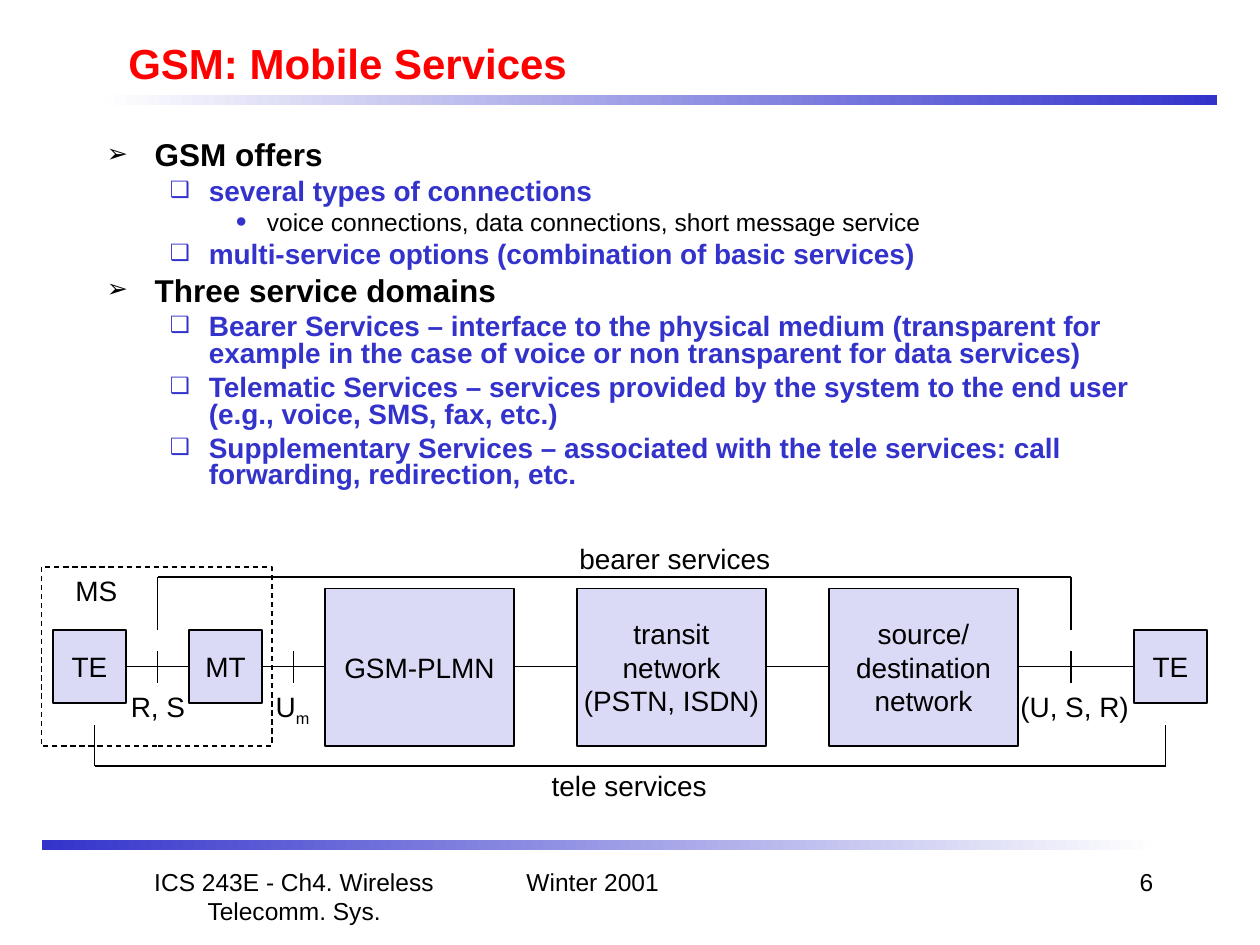
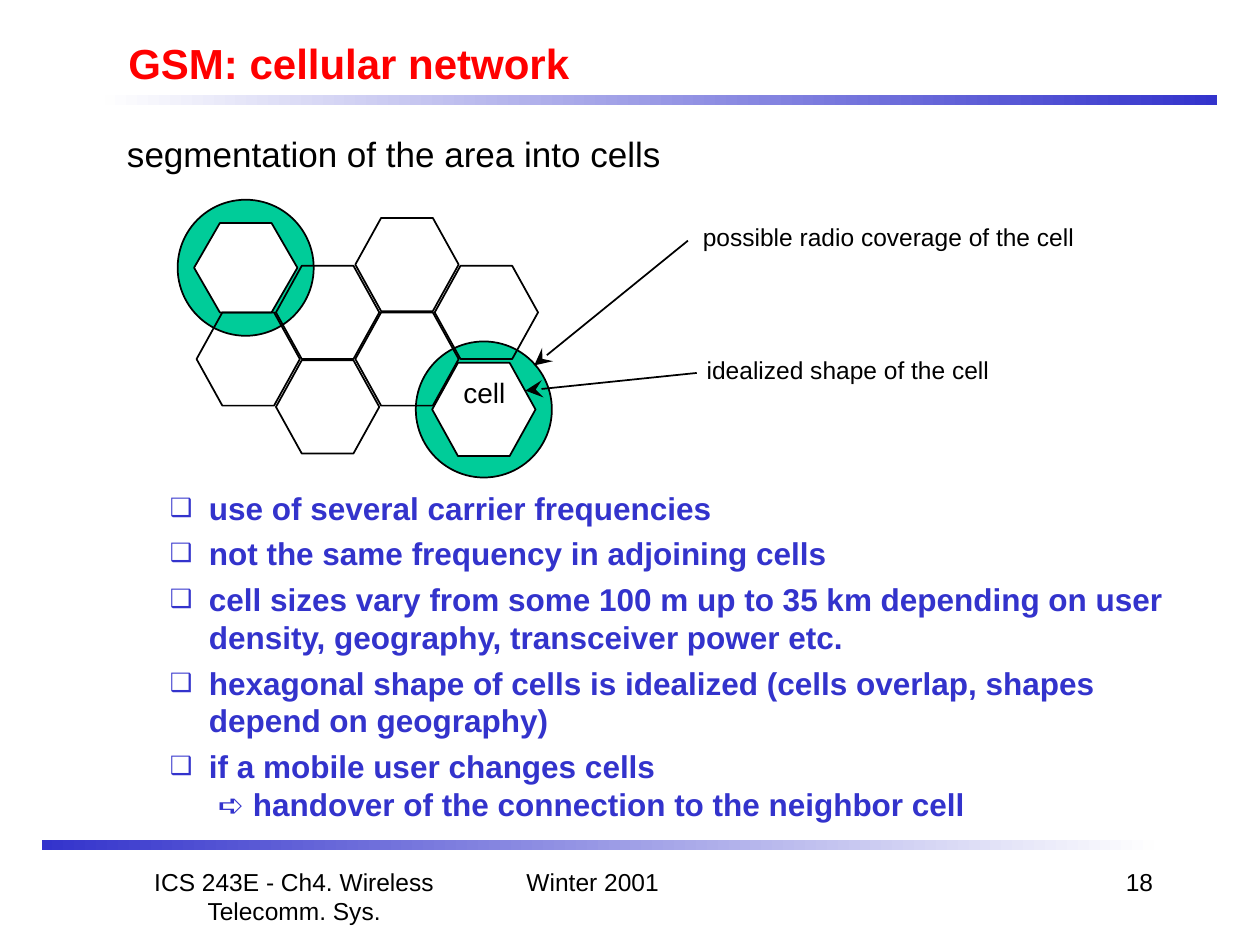
from lxml.etree import SubElement
from pptx import Presentation
from pptx.dml.color import RGBColor
from pptx.enum.dml import MSO_LINE
from pptx.enum.shapes import MSO_CONNECTOR, MSO_SHAPE
from pptx.enum.text import MSO_ANCHOR, PP_ALIGN
from pptx.oxml.ns import qn
from pptx.util import Inches, Pt

COLORS = {"title": "FF0000", "accent": "3333CC", "fade": "FEFEFE", "ink": "000000",
          "node": "DADAF6", "coverage": "00CC99", "cell": "FFFFFF"}
FONT = "Arial"
LEVELS = [
    {"bullet": "➢", "indent": 0.38, "hang": 0.38, "size": 18, "color": "ink", "bold": True, "bullet_color": "ink"},
    {"bullet": "❑", "indent": 0.81, "hang": 0.31, "size": 16, "color": "accent", "bold": True, "bullet_color": "accent"},
    {"bullet": "●", "indent": 1.27, "hang": 0.25, "size": 14, "color": "ink", "bold": False, "bullet_color": "accent"},
]
HANDOVER_INDENT = 0.88
LABEL_WIDTH = 1.9


def rgb(name):
    """Return a palette colour."""
    return RGBColor.from_string(COLORS[name])


def add_run(p, text, size, color="ink", bold=False):
    """Add one styled run to a paragraph."""
    r = p.add_run()
    r.text = text
    r.font.name, r.font.size, r.font.bold = FONT, Pt(size), bold
    r.font.color.rgb = rgb(color)
    return r


def add_text(slide, box, text, size, color="ink", bold=False,
             align=PP_ALIGN.LEFT, anchor=MSO_ANCHOR.TOP):
    """Add a one-paragraph text box and return its paragraph."""
    tf = slide.shapes.add_textbox(*map(Inches, box)).text_frame
    tf.word_wrap, tf.vertical_anchor = True, anchor
    p = tf.paragraphs[0]
    p.alignment = align
    add_run(p, text, size, color, bold)
    return p


def add_shape(slide, kind, box, fill=None, line=None):
    """Add a flat shape with an optional fill and outline width."""
    sp = slide.shapes.add_shape(kind, *map(Inches, box))
    sp.shadow.inherit = False
    if fill:
        sp.fill.solid()
        sp.fill.fore_color.rgb = rgb(fill)
    else:
        sp.fill.background()
    if line:
        sp.line.color.rgb = rgb("ink")
        sp.line.width = Pt(line)
    else:
        sp.line.fill.background()
    return sp


def add_line(slide, x1, y1, x2, y2, width=0.75, head=None):
    """Add a straight line, with an arrowhead at its end if asked."""
    ln = slide.shapes.add_connector(MSO_CONNECTOR.STRAIGHT, *map(Inches, (x1, y1, x2, y2)))
    ln.line.color.rgb = rgb("ink")
    ln.line.width = Pt(width)
    if head:
        SubElement(ln.line._get_or_add_ln(), qn("a:tailEnd"), type=head, w="lg", len="lg")
    SubElement(ln._element.spPr, qn("a:effectLst"))


def add_bracket(slide, x1, x2, y, leg):
    """Add a bracket whose legs reach the given distance from y."""
    add_line(slide, x1, y, x2, y)
    for x in (x1, x2):
        add_line(slide, x, y, x, y + leg)


def add_band(slide, left, top, start, end):
    """Add a horizontal gradient band."""
    sp = add_shape(slide, MSO_SHAPE.RECTANGLE, (left, top, 8.83, 0.08))
    sp.fill.gradient()
    sp.fill.gradient_angle = 0
    for stop, name in zip(sp.fill.gradient_stops, (start, end)):
        stop.color.rgb = rgb(name)


def add_bullet(p, level):
    """Give a paragraph the bullet and indent of its level."""
    pPr = p._p.get_or_add_pPr()
    pPr.set("marL", str(Inches(level["indent"])))
    pPr.set("indent", str(-Inches(level["hang"])))
    clr = SubElement(pPr, qn("a:buClr"))
    SubElement(clr, qn("a:srgbClr"), val=COLORS[level["bullet_color"]])
    SubElement(pPr, qn("a:buSzPct"), val="80000")
    SubElement(pPr, qn("a:buFont"), typeface=FONT)
    SubElement(pPr, qn("a:buChar"), char=level["bullet"])


def add_body(slide, box, items, spacing=1.0, size=None):
    """Add a bulleted list of (level, text) items."""
    tf = slide.shapes.add_textbox(*map(Inches, box)).text_frame
    tf.word_wrap = True
    for i, (depth, text) in enumerate(items):
        p = tf.paragraphs[0] if i == 0 else tf.add_paragraph()
        level = LEVELS[depth]
        points = size or level["size"]
        p.level = depth
        add_bullet(p, level)
        p.line_spacing = spacing
        p.space_before = Pt(points / 4 if i else 0)
        add_run(p, text, points, level["color"], level["bold"])
    return tf


def add_frame(prs, title, number):
    """Add a slide with its title, bands and footer."""
    slide = prs.slides.add_slide(prs.slide_layouts[6])
    add_band(slide, 0.83, 0.75, "fade", "accent")
    add_band(slide, 0.33, 6.67, "accent", "fade")
    add_text(slide, (0.92, 0.25, 8.5, 0.5), title, 24, "title", True, anchor=MSO_ANCHOR.MIDDLE)
    footers = [(0.75, 3.17, "ICS 243E - Ch4. Wireless Telecomm. Sys.", PP_ALIGN.CENTER),
               (4.08, 2.08, "Winter 2001", PP_ALIGN.LEFT),
               (7.17, 2.08, number, PP_ALIGN.RIGHT)]
    for left, width, text, align in footers:
        add_text(slide, (left, 6.83, width, 0.5), text, 14, align=align)
    return slide


def add_node(slide, box, lines):
    """Add a network node with centred lines of text."""
    sp = add_shape(slide, MSO_SHAPE.RECTANGLE, box, "node", 0.75)
    tf = sp.text_frame
    tf.word_wrap, tf.vertical_anchor = False, MSO_ANCHOR.MIDDLE
    for i, text in enumerate(lines):
        p = tf.paragraphs[0] if i == 0 else tf.add_paragraph()
        p.alignment = PP_ALIGN.CENTER
        add_run(p, text, 16)


def add_service_diagram(slide, left, top):
    """Draw the chain from terminal to terminal with its service spans."""
    axis = top + 1.04
    networks = [["GSM-PLMN"], ["transit", "network", "(PSTN, ISDN)"],
                ["source/", "destination", "network"]]
    for i, lines in enumerate(networks):
        add_node(slide, (left + 2.25 + 2 * i, top + 0.42, 1.5, 1.25), lines)
    for x, name in ((0.09, "TE"), (1.17, "MT"), (8.67, "TE")):
        add_node(slide, (left + x, top + 0.75, 0.58, 0.58), [name])
    for start, end in ((0.67, 1.17), (1.75, 2.25), (3.75, 4.25), (5.75, 6.25), (7.75, 8.67)):
        add_line(slide, left + start, axis, left + end, axis)
    for x in (0.92, 2, 8.17):
        add_line(slide, left + x, axis - 0.12, left + x, axis + 0.13)
    add_bracket(slide, left + 0.92, left + 8.17, top + 0.33, 0.42)
    add_bracket(slide, left + 0.42, left + 8.92, top + 1.83, -0.33)
    mobile_station = add_shape(slide, MSO_SHAPE.RECTANGLE, (left, top + 0.25, 1.83, 1.42), line=0.75)
    mobile_station.line.dash_style = MSO_LINE.DASH
    labels = [(4.17, 0, "bearer services", ""), (3.95, 1.8, "tele services", ""),
              (0.17, 0.25, "MS", ""), (0.61, 1.17, "R, S", ""),
              (1.76, 1.17, "U", "m"), (7.67, 1.17, "(U, S, R)", "")]
    for x, y, text, subscript in labels:
        p = add_text(slide, (left + x, top + y, LABEL_WIDTH, 0.37), text, 16)
        if subscript:
            add_run(p, subscript, 16).font._element.set("baseline", "-25000")


def add_cell(slide, x, y, height=0.74, covered=False):
    """Draw a hexagonal cell, on a coverage circle if covered."""
    width, circle = 0.82, 1.08
    if covered:
        box = (x + (width - circle) / 2, y + (height - circle) / 2, circle, circle)
        add_shape(slide, MSO_SHAPE.OVAL, box, "coverage", 1)
    sp = add_shape(slide, MSO_SHAPE.HEXAGON, (x, y, width, height), "cell" if covered else None, 1)
    sp.adjustments[0] = 0.25 * width / height


def add_cell_diagram(slide, left, top):
    """Draw the cell grid with its two callouts."""
    step = 0.63
    add_cell(slide, left + 2.01, top + 1.3, covered=True)
    add_text(slide, (left + 2.06, top + 1.35, 0.73, 0.37), "cell", 16, align=PP_ALIGN.CENTER)
    add_cell(slide, left + 0.12, top + 0.19, 0.71, covered=True)
    for column, row in ((1, 0), (0, 1), (2, 0), (2, 1), (3, 0), (1, 1)):
        y = 0.15 + 0.38 * (column % 2) + 0.75 * row
        add_cell(slide, left + 0.14 + step * column, top + y)
    callouts = [(4.06, 0.13, 3.81, "possible radio coverage of the cell", (4.04, 0.33, 2.82, 1.32)),
                (4.09, 1.19, 4.21, "idealized shape of the cell", (4.11, 1.38, 2.75, 1.52))]
    for x, y, width, text, (x1, y1, x2, y2) in callouts:
        add_text(slide, (left + x, top + y, width, 0.33), text, 14)
        add_line(slide, left + x1, top + y1, left + x2, top + y2, 1, "stealth")


def build_services(prs):
    """Build the mobile services slide."""
    slide = add_frame(prs, "GSM: Mobile Services", "6")
    add_body(slide, (0.75, 1.08, 8.5, 3.08), [
        (0, "GSM offers"),
        (1, "several types of connections"),
        (2, "voice connections, data connections, short message service"),
        (1, "multi-service options (combination of basic services)"),
        (0, "Three service domains"),
        (1, "Bearer Services – interface to the physical medium (transparent for example "
            "in the case of voice or non transparent for data services)"),
        (1, "Telematic Services – services provided by the system to the end user "
            "(e.g., voice, SMS, fax, etc.)"),
        (1, "Supplementary Services – associated with the tele services: call forwarding, "
            "redirection, etc."),
    ], spacing=0.8)
    add_service_diagram(slide, 0.33, 4.25)


def build_cells(prs):
    """Build the cellular network slide."""
    slide = add_frame(prs, "GSM: cellular network", "18")
    add_text(slide, (0.91, 1, 5, 0.44), "segmentation of the area into cells", 20)
    add_cell_diagram(slide, 1.42, 1.58)
    points = ["use of several carrier frequencies",
              "not the same frequency in adjoining cells",
              "cell sizes vary from some 100 m up to 35 km depending on user density, "
              "geography, transceiver power etc.",
              "hexagonal shape of cells is idealized (cells overlap, shapes depend on geography)",
              "if a mobile user changes cells"]
    tf = add_body(slide, (0.75, 3.83, 8.92, 2.83), [(1, text) for text in points], size=18)
    p = tf.add_paragraph()
    pPr = p._p.get_or_add_pPr()
    pPr.set("marL", str(Inches(HANDOVER_INDENT)))
    pPr.set("indent", "0")
    SubElement(pPr, qn("a:buNone"))
    add_run(p, "➪ handover of the connection to the neighbor cell", 18, "accent", True)


def main():
    """Build and save the presentation."""
    prs = Presentation()
    prs.slide_width, prs.slide_height = Inches(10), Inches(7.5)
    build_services(prs)
    build_cells(prs)
    prs.save("out.pptx")


if __name__ == "__main__":
    main()
